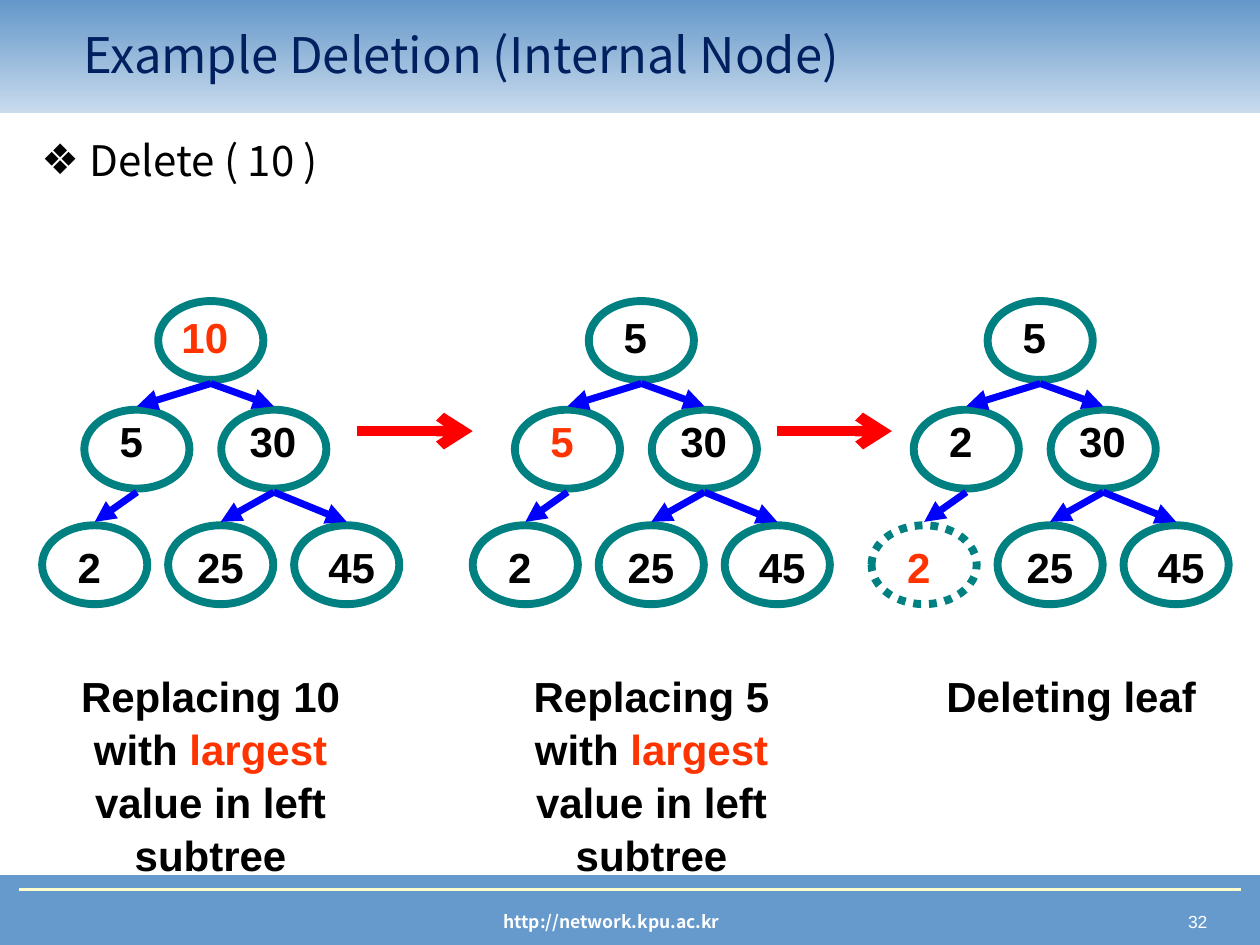
from dataclasses import dataclass

from lxml import etree
from pptx import Presentation
from pptx import util as u
from pptx.dml.color import RGBColor
from pptx.enum import dml, shapes, text
from pptx.oxml import ns

Cm, Pt = u.Cm, u.Pt


@dataclass(frozen=True)
class Theme:
    band: RGBColor = RGBColor.from_string("6699CC")
    band_top: RGBColor = RGBColor.from_string("6497C9")
    band_bottom: RGBColor = RGBColor.from_string("C9DBED")
    rule: RGBColor = RGBColor.from_string("FFFFCC")
    title: RGBColor = RGBColor.from_string("002060")
    ink: RGBColor = RGBColor.from_string("000000")
    white: RGBColor = RGBColor.from_string("FFFFFF")
    accent: RGBColor = RGBColor.from_string("FF3300")
    node: RGBColor = RGBColor.from_string("008080")
    edge: RGBColor = RGBColor.from_string("0000FF")
    step: RGBColor = RGBColor.from_string("FF0000")
    title_size: u.Pt = Pt(28)
    body_size: u.Pt = Pt(24)
    footer_size: u.Pt = Pt(10)
    heading_font: str = "Noto Sans CJK KR"
    label_font: str = "Arial"


theme = Theme()
presentation = Presentation()
presentation.slide_width = Cm(25.4)
presentation.slide_height = Cm(19.05)
slide = presentation.slides.add_slide(presentation.slide_layouts[1])


def add_text(left, top, width, height, runs, color=theme.ink, size=theme.body_size,
             font=theme.label_font, bold=True, align=text.PP_ALIGN.CENTER):
    box = slide.shapes.add_textbox(Cm(left), Cm(top), Cm(width), Cm(height))
    box.text_frame.word_wrap = True
    paragraph = box.text_frame.paragraphs[0]
    paragraph.alignment = align
    paragraph.font.name = font
    paragraph.font.size = size
    paragraph.font.bold = bold
    paragraph.font.color.rgb = color
    for words, run_color in runs:
        run = paragraph.add_run()
        run.text = words
        if run_color != color:
            run.font.color.rgb = run_color
    return paragraph


def add_line(x1, y1, x2, y2, color, width, head=None):
    connector = slide.shapes.add_connector(
        shapes.MSO_CONNECTOR.STRAIGHT, Cm(x1), Cm(y1), Cm(x2), Cm(y2))
    connector.line.color.rgb = color
    connector.line.width = Pt(width)
    if head:
        etree.SubElement(connector.line._get_or_add_ln(), ns.qn("a:tailEnd"), type=head)
    etree.SubElement(connector._element.spPr, ns.qn("a:effectLst"))


footer = slide.shapes.add_shape(
    shapes.MSO_SHAPE.RECTANGLE, Cm(0), Cm(17.65), Cm(25.4), Cm(1.4))
footer.shadow.inherit = False
footer.fill.solid()
footer.fill.fore_color.rgb = theme.band
footer.line.color.rgb = theme.band
footer.line.width = Pt(0.75)
add_text(18.85, 18.24, 5.74, 0.69, [("32", theme.white)], theme.white,
         theme.footer_size, bold=False, align=text.PP_ALIGN.RIGHT)
add_text(5.77, 18.24, 13.11, 0.69, [("http://network.kpu.ac.kr", theme.white)],
         theme.white, theme.footer_size, theme.heading_font)
add_line(0.38, 17.93, 25.02, 17.93, theme.rule, 1.5)

header = slide.shapes.add_shape(
    shapes.MSO_SHAPE.RECTANGLE, Cm(0), Cm(0), Cm(25.4), Cm(2.29))
header.shadow.inherit = False
header.line.fill.background()
header.fill.gradient()
header.fill.gradient_angle = 90
header.fill.gradient_stops[0].color.rgb = theme.band_bottom
header.fill.gradient_stops[1].color.rgb = theme.band_top

title = slide.shapes.title
body = slide.placeholders[1]
for shape, words, place, size, color, anchor in (
    (title, "Example Deletion (Internal Node)", (1.42, 0.2, 21.41, 1.78),
     theme.title_size, theme.title, text.MSO_ANCHOR.MIDDLE),
    (body, "Delete ( 10 )", (0.58, 2.59, 24, 14.68),
     theme.body_size, theme.ink, text.MSO_ANCHOR.TOP),
):
    slide.shapes._spTree.append(shape._element)
    shape.left, shape.top, shape.width, shape.height = map(Cm, place)
    shape.text_frame.text = words
    shape.text_frame.vertical_anchor = anchor
    paragraph = shape.text_frame.paragraphs[0]
    paragraph.alignment = text.PP_ALIGN.LEFT
    paragraph.space_before = Pt(0)
    if shape is body:
        properties = paragraph._p.get_or_add_pPr()
        properties.set("marL", str(Cm(0.97)))
        properties.set("indent", str(Cm(-0.97)))
        etree.SubElement(properties, ns.qn("a:buChar"), char="❖")
    paragraph.font.name = theme.heading_font
    paragraph.font.size = size
    paragraph.font.color.rgb = color

node_width, node_height, edge_gap = 2.12, 1.59, 0.07
nodes = [(2.34, 6.07), (0.85, 8.26), (3.61, 8.26),
         (0, 10.59), (2.54, 10.59), (5.08, 10.59)]
labels = [(2.54, 6.15, 1.48), (1.27, 8.26, 1.06), (3.81, 8.26, 1.69),
          (0.42, 10.8, 1.06), (2.75, 10.8, 1.69), (5.5, 10.8, 1.48)]
edges = [(0, 1), (0, 2), (1, 3), (2, 4), (2, 5)]
trees = [
    (0.85, ["10", "5", "30", "2", "25", "45"], 0, None),
    (9.53, ["5", "5", "30", "2", "25", "45"], 1, None),
    (17.57, ["5", "2", "30", "2", "25", "45"], 3, 3),
]
for origin, values, highlighted, deleted in trees:
    for index, (left, top) in enumerate(nodes):
        node = slide.shapes.add_shape(
            shapes.MSO_SHAPE.OVAL, Cm(origin + left), Cm(top), Cm(node_width), Cm(node_height))
        node.shadow.inherit = False
        node.fill.background()
        node.line.color.rgb = theme.node
        node.line.width = Pt(4.5)
        if index == deleted:
            node.line.dash_style = dml.MSO_LINE.ROUND_DOT
    for parent, child in edges:
        (x1, y1), (x2, y2) = nodes[parent], nodes[child]
        center = origin + node_width / 2
        add_line(center + x1, y1 + node_height + edge_gap,
                 center + x2, y2 - edge_gap, theme.edge, 4, "triangle")
    for index, (left, top, width) in enumerate(labels):
        color = theme.accent if index == highlighted else theme.ink
        add_text(origin + left, top, width, 1.27, [(values[index], color)], color)

for start, end in ((7.19, 9.53), (15.67, 17.98)):
    add_line(start, 8.69, end, 8.69, theme.step, 6, "arrow")

captions = [(left, 4.32, [(f"Replacing {value} with ", theme.ink),
                          ("largest", theme.accent),
                          (" value in left subtree", theme.ink)])
            for left, value in ((1.07, 10), (9.96, 5))]
captions.append((18.42, 1.27, [("Deleting leaf", theme.ink)]))
for left, height, runs in captions:
    add_text(left, 13.34, 6.35, height, runs).line_spacing = 1.05

presentation.save("out.pptx")
